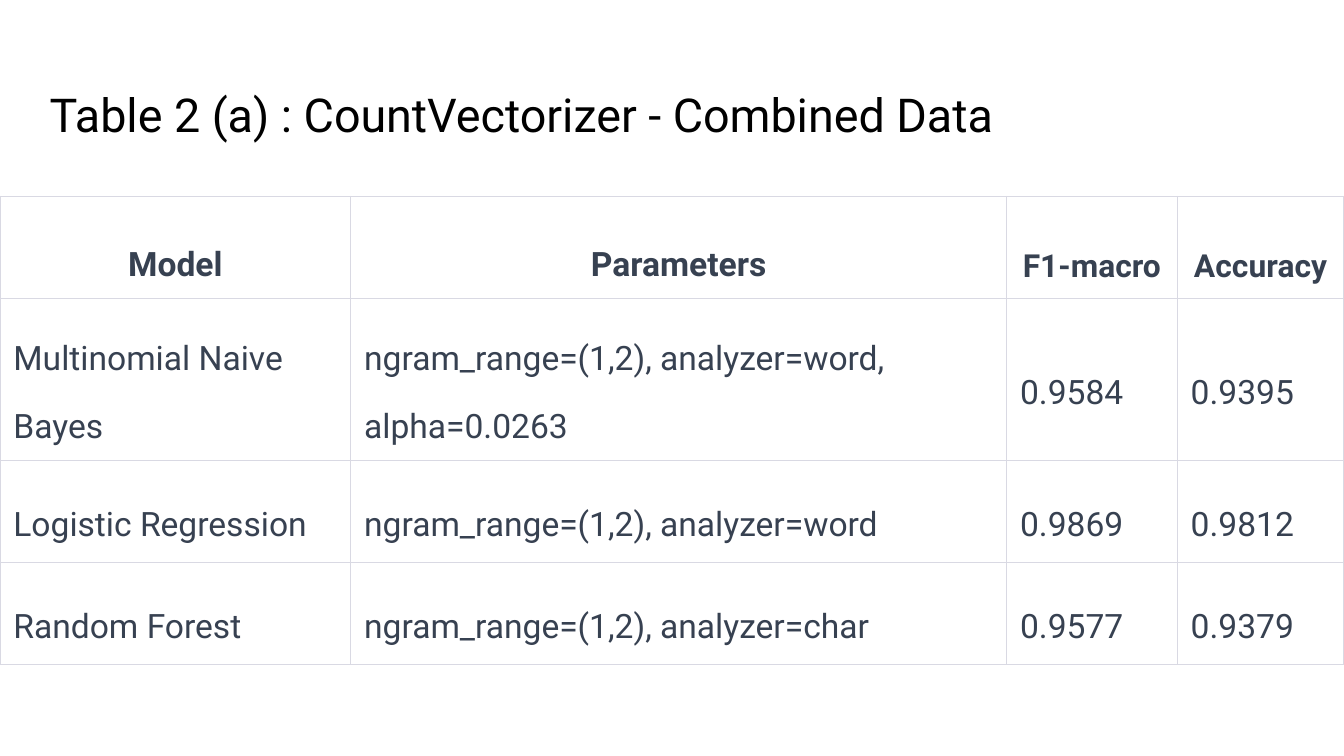
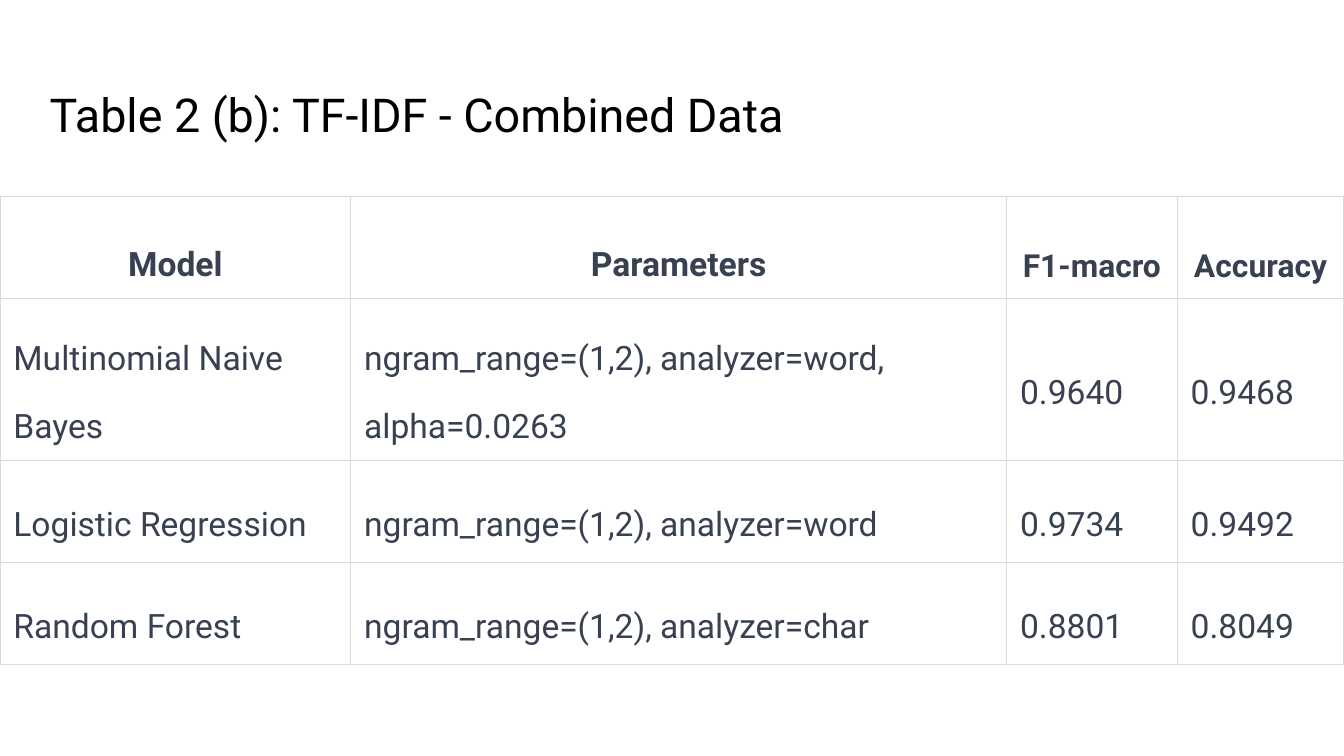
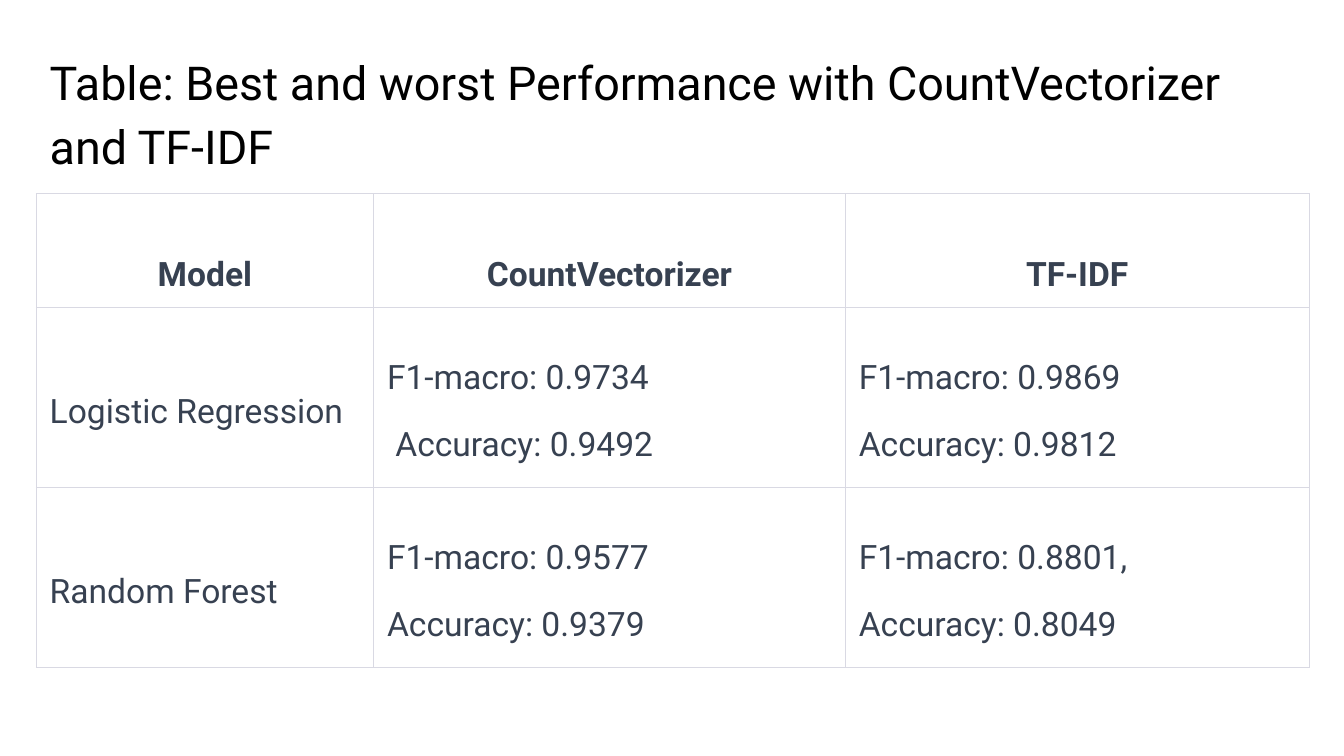
from dataclasses import dataclass

from lxml import etree
from pptx import Presentation
from pptx.dml.color import RGBColor
from pptx.enum.text import MSO_ANCHOR, MSO_AUTO_SIZE, PP_ALIGN
from pptx.oxml.ns import qn
from pptx.util import Inches, Pt

MIDDLE, BOTTOM = MSO_ANCHOR.MIDDLE, MSO_ANCHOR.BOTTOM
LEFT, CENTER = PP_ALIGN.LEFT, PP_ALIGN.CENTER
NO_AUTOFIT = MSO_AUTO_SIZE.NONE
TITLE_ONLY = 5

COLORS = {"title": "000000", "body": "374151", "border": "D9D9E3"}
FONT = "Roboto"
PAGE_WIDTH = 10
PAGE_HEIGHT = PAGE_WIDTH * 9 / 16
INSET = 0.1
TITLE_SIZE, CELL_SIZE, SCORE_HEAD_SIZE = 25, 18, 17
BORDER_WIDTH = 0.5


@dataclass
class Box:
    left: float
    top: float
    width: float
    height: float


TITLE_BOX = Box(0.27, 0.5, 9.32, 0.63)
SCORE_BOX = Box(0, 1.46, 10, 3.04)
SUMMARY_BOX = Box(0.27, 1.44, 9.47, 3.53)

SCORE_COLUMNS = [2.61, 4.88, 1.27, 1.24]
SCORE_ROWS = [0.76] * 4
SCORE_HEADS = ["Model", "Parameters", "F1-macro", "Accuracy"]
SCORE_HEAD_SIZES = [CELL_SIZE, CELL_SIZE, SCORE_HEAD_SIZE, SCORE_HEAD_SIZE]
MODELS = [
    ("Multinomial Naive Bayes", "ngram_range=(1,2), analyzer=word, alpha=0.0263"),
    ("Logistic Regression", "ngram_range=(1,2), analyzer=word"),
    ("Random Forest", "ngram_range=(1,2), analyzer=char"),
]
SCORE_PAGES = [
    ("Table 2 (a) : CountVectorizer - Combined Data",
     [("0.9584", "0.9395"), ("0.9869", "0.9812"), ("0.9577", "0.9379")]),
    ("Table 2 (b): TF-IDF - Combined Data",
     [("0.9640", "0.9468"), ("0.9734", "0.9492"), ("0.8801", "0.8049")]),
]

SUMMARY_TITLE = "Table: Best and worst Performance with CountVectorizer and TF-IDF"
SUMMARY_COLUMNS = [2.51, 3.51, 3.45]
SUMMARY_ROWS = [0.85, 1.34, 1.34]
SUMMARY_HEADS = ["Model", "CountVectorizer", "TF-IDF"]
SUMMARY_RESULTS = [
    ("Logistic Regression",
     "F1-macro: 0.9734\n Accuracy: 0.9492",
     "F1-macro: 0.9869\nAccuracy: 0.9812"),
    ("Random Forest",
     "F1-macro: 0.9577\nAccuracy: 0.9379",
     "F1-macro: 0.8801,\nAccuracy: 0.8049"),
]


def add_span(para, text, size, color, bold=False):
    span = para.add_run()
    span.text = text
    span.font.name = FONT
    span.font.size = Pt(size)
    span.font.bold = bold
    span.font.color.rgb = RGBColor.from_string(COLORS[color])


def set_insets(holder):
    """Give a cell or a text frame the shared inner margins."""
    holder.margin_left = holder.margin_right = Inches(INSET)
    holder.margin_top = holder.margin_bottom = Inches(INSET)


def set_borders(cell):
    properties = cell._tc.get_or_add_tcPr()
    for side in ("a:lnL", "a:lnR", "a:lnT", "a:lnB"):
        line = etree.SubElement(properties, qn(side), w=str(Pt(BORDER_WIDTH)))
        fill = etree.SubElement(line, qn("a:solidFill"))
        etree.SubElement(fill, qn("a:srgbClr"), val=COLORS["border"])


def add_title(page, box, text):
    title = page.shapes.title
    title.left, title.top = Inches(box.left), Inches(box.top)
    title.width, title.height = Inches(box.width), Inches(box.height)
    frame = title.text_frame
    frame.word_wrap = True
    frame.auto_size = NO_AUTOFIT
    frame.vertical_anchor = MIDDLE
    set_insets(frame)
    para = frame.paragraphs[0]
    para.alignment = LEFT
    para.line_spacing = 1.15
    para.space_before = para.space_after = Pt(15)
    add_span(para, text, TITLE_SIZE, "title")


def fill_cell(cell, text, size, is_head):
    """Write each line of text as a paragraph and style the cell."""
    set_insets(cell)
    cell.vertical_anchor = BOTTOM if is_head else MIDDLE
    set_borders(cell)
    cell.fill.background()
    frame = cell.text_frame
    for index, line in enumerate(text.split("\n")):
        para = frame.add_paragraph() if index else frame.paragraphs[0]
        para.alignment = CENTER if is_head else LEFT
        para.line_spacing = 1.71
        add_span(para, line, size, "body", bold=is_head)


def add_result_table(page, box, widths, heights, heads, head_sizes, results):
    table = page.shapes.add_table(
        len(heights), len(widths), Inches(box.left), Inches(box.top),
        Inches(box.width), Inches(box.height)).table
    table.first_row = table.horz_banding = False
    for column, width in zip(table.columns, widths):
        column.width = Inches(width)
    for row, height in zip(table.rows, heights):
        row.height = Inches(height)
    for column, (head, size) in enumerate(zip(heads, head_sizes)):
        fill_cell(table.cell(0, column), head, size, True)
    for row, values in enumerate(results, 1):
        for column, value in enumerate(values):
            fill_cell(table.cell(row, column), value, CELL_SIZE, False)


def add_page(deck, title):
    page = deck.slides.add_slide(deck.slide_layouts[TITLE_ONLY])
    add_title(page, TITLE_BOX, title)
    return page


def add_score_page(deck, title, scores):
    page = add_page(deck, title)
    results = [model + score for model, score in zip(MODELS, scores)]
    add_result_table(page, SCORE_BOX, SCORE_COLUMNS, SCORE_ROWS,
                     SCORE_HEADS, SCORE_HEAD_SIZES, results)


def add_summary_page(deck):
    page = add_page(deck, SUMMARY_TITLE)
    add_result_table(page, SUMMARY_BOX, SUMMARY_COLUMNS, SUMMARY_ROWS,
                     SUMMARY_HEADS, [CELL_SIZE] * len(SUMMARY_HEADS),
                     SUMMARY_RESULTS)


def main():
    deck = Presentation()
    deck.slide_width, deck.slide_height = Inches(PAGE_WIDTH), Inches(PAGE_HEIGHT)
    for title, scores in SCORE_PAGES:
        add_score_page(deck, title, scores)
    add_summary_page(deck)
    deck.save("out.pptx")


if __name__ == "__main__":
    main()
